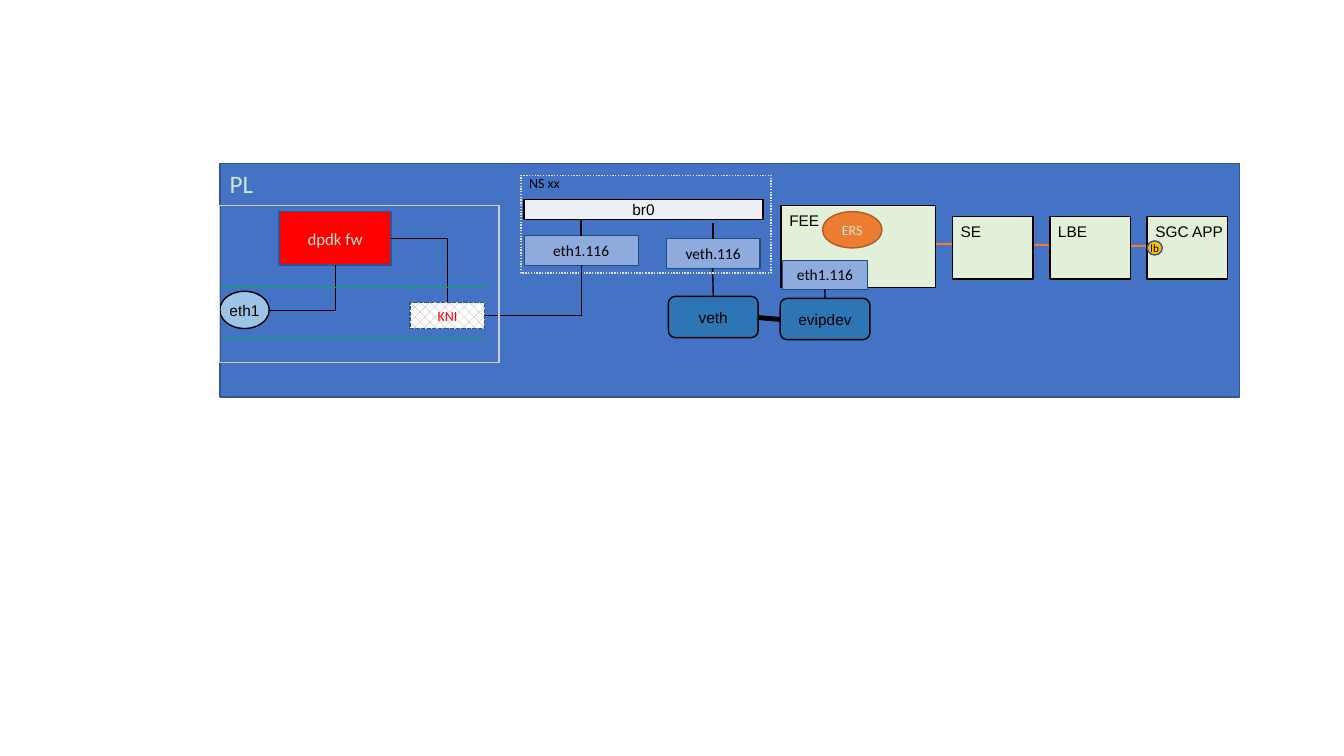
from lxml import etree
from pptx import Presentation
from pptx.dml.color import RGBColor
from pptx.enum.dml import MSO_LINE, MSO_PATTERN
from pptx.enum.shapes import MSO_CONNECTOR, MSO_SHAPE
from pptx.enum.text import MSO_ANCHOR, PP_ALIGN
from pptx.oxml.ns import qn
from pptx.util import Pt

RECT, OVAL, ROUND = MSO_SHAPE.RECTANGLE, MSO_SHAPE.OVAL, MSO_SHAPE.ROUNDED_RECTANGLE
STRAIGHT, ELBOW = MSO_CONNECTOR.STRAIGHT, MSO_CONNECTOR.ELBOW
TOP, MIDDLE = MSO_ANCHOR.TOP, MSO_ANCHOR.MIDDLE
LEFT, CENTER = PP_ALIGN.LEFT, PP_ALIGN.CENTER
DOTS, DASHES = MSO_LINE.ROUND_DOT, MSO_LINE.SQUARE_DOT
PATTERN = MSO_PATTERN.PERCENT_30
SITE_TOP, SITE_BOTTOM, SITE_RIGHT, OVAL_RIGHT = 0, 2, 3, 6

BLACK, NAVY, MINT, PALE = "000000", "325491", "CCE8CF", "E2F0D9"
ORANGE, RED = "ED7D31", "FF0000"


def rgb(color):
    return RGBColor.from_string(color)


def set_text(s, text, size=11, font="Arial", color=BLACK, align=CENTER,
             anchor=MIDDLE, inset=(5.8, 3.6)):
    tf = s.text_frame
    tf.word_wrap = False
    tf.vertical_anchor = anchor
    tf.margin_left = tf.margin_right = Pt(inset[0])
    tf.margin_top = tf.margin_bottom = Pt(inset[1])
    p = tf.paragraphs[0]
    p.alignment = align
    r = p.add_run()
    r.text = text
    r.font.size = Pt(size)
    r.font.name = font
    r.font.color.rgb = rgb(color)


def style_shape(s, fill, line, width, dash=None):
    s.shadow.inherit = False
    if fill:
        s.fill.solid()
        s.fill.fore_color.rgb = rgb(fill)
    else:
        s.fill.background()
    s.line.color.rgb = rgb(line)
    s.line.width = Pt(width)
    if dash:
        s.line.dash_style = dash


def add_box(slide, kind, box, fill=None, line=BLACK, width=1, dash=None,
            text=None, **text_format):
    s = slide.shapes.add_shape(kind, *map(Pt, box))
    style_shape(s, fill, line, width, dash)
    if text:
        set_text(s, text, **text_format)
    return s


def add_interface(slide, text, box):
    return add_box(slide, RECT, box, "8FAADC", "1F4E79", 0.75,
                   text=text, font="Calibri")


def add_service(slide, text, box):
    return add_box(slide, RECT, box, PALE, text=text, align=LEFT, anchor=TOP)


def add_line(slide, start, end, color=BLACK, width=1, kind=STRAIGHT):
    c = slide.shapes.add_connector(kind, *map(Pt, start + end))
    c.line.color.rgb = rgb(color)
    c.line.width = Pt(width)
    etree.SubElement(c._element.spPr, qn("a:effectLst"))
    return c


def add_elbow(slide, source, source_site, target, target_site):
    c = add_line(slide, (0, 0), (0, 0), width=0.5, kind=ELBOW)
    c.begin_connect(source, min(source_site, SITE_RIGHT))
    c.end_connect(target, target_site)
    c._element.xpath(".//a:stCxn")[0].set("idx", str(source_site))
    c._element.spPr.find(qn("a:prstGeom")).set("prst", "bentConnector2")


def add_rails(slide, left, top, width, height, color):
    fb = slide.shapes.build_freeform(Pt(left), Pt(top))
    fb.add_line_segments([(Pt(left + width), Pt(top))], close=False)
    fb.move_to(Pt(left), Pt(top + height))
    fb.add_line_segments([(Pt(left + width), Pt(top + height))], close=False)
    style_shape(fb.convert_to_shape(), None, color, 1)


def main():
    prs = Presentation()
    prs.slide_width, prs.slide_height = Pt(960), Pt(540)
    slide = prs.slides.add_slide(prs.slide_layouts[6])

    add_box(slide, RECT, (157, 116.6, 728.6, 167), "4472C4", NAVY,
            text="PL", size=18, font="Calibri", color=MINT, align=LEFT,
            anchor=TOP, inset=(7.2, 3.6))
    add_line(slide, (668.2, 174.2), (819.4, 175.7), ORANGE, 1.5)
    add_service(slide, "FEE", (558, 146.9, 110.2, 58.3))
    add_box(slide, RECT, (374.4, 142.6, 170.6, 14.4), "EBEEF2", text="br0")
    eth1 = add_box(slide, OVAL, (157, 208.1, 35.3, 26.6), "9DC3E6", text="eth1")
    bridge_port = add_interface(slide, "eth1.116", (374.4, 168.5, 81.4, 20.9))
    add_interface(slide, "veth.116", (475.9, 170.6, 67, 20.9))
    add_interface(slide, "eth1.116", (558.7, 185.8, 61.2, 20.9))
    for text, left, top in (("veth", 477.4, 211.7), ("evipdev", 557.3, 213.1)):
        add_box(slide, ROUND, (left, top, 64.1, 29.5), "2E75B6", text=text)

    for start, end, width in (
        ((509, 191.5), (509.5, 211.7), 1),
        ((589.2, 206.7), (589.4, 213.1), 1),
        ((541.5, 226.8), (557.3, 228.2), 3.5),
        ((415.1, 168.5), (415.1, 157.5), 1),
        ((509.2, 170.6), (509.2, 159.5), 1),
    ):
        add_line(slide, start, end, width=width)

    for i, text in enumerate(("SE", "LBE", "SGC APP")):
        add_service(slide, text, (680.4 + 69.5 * i, 154.8, 57.6, 44.6))

    add_box(slide, OVAL, (587.5, 151.2, 42.5, 25.9), ORANGE, "AF5C24",
            text="ERS", size=10, font="Calibri", color=MINT)
    firewall = add_box(slide, RECT, (199.4, 151.2, 79.9, 38.2), RED, NAVY,
                       text="dpdk fw", size=12, font="Calibri", color=MINT)
    kni = add_box(slide, RECT, (293, 216, 53.3, 18.7), None, NAVY, dash=DASHES,
                  text="KNI", size=10, font="Calibri", color=RED)
    kni.fill.patterned()
    kni.fill.pattern = PATTERN
    kni.fill.fore_color.rgb = rgb("A5A5A5")
    kni.fill.back_color.rgb = rgb("FFFFFF")
    add_box(slide, OVAL, (819.4, 172.1, 10.8, 10.1), "FFC000", NAVY,
            text="lb", size=8, font="Calibri", inset=(0, 0))

    add_box(slide, RECT, (372.2, 125.3, 178.6, 69.8), None, "E7E6E6", dash=DOTS)
    s = slide.shapes.add_textbox(Pt(370.8), Pt(121), Pt(51), Pt(19.4))
    set_text(s, "NS xx", size=10, font="Calibri", align=LEFT, anchor=TOP,
             inset=(7.2, 3.6))

    add_elbow(slide, kni, SITE_RIGHT, bridge_port, SITE_BOTTOM)
    add_elbow(slide, firewall, SITE_RIGHT, kni, SITE_TOP)
    add_elbow(slide, eth1, OVAL_RIGHT, firewall, SITE_BOTTOM)
    add_rails(slide, 157, 205.2, 189.4, 36.7, "00B050")
    add_box(slide, RECT, (157, 146.9, 199.4, 112.3), None, "D0CECE")

    prs.save("out.pptx")


if __name__ == "__main__":
    main()
